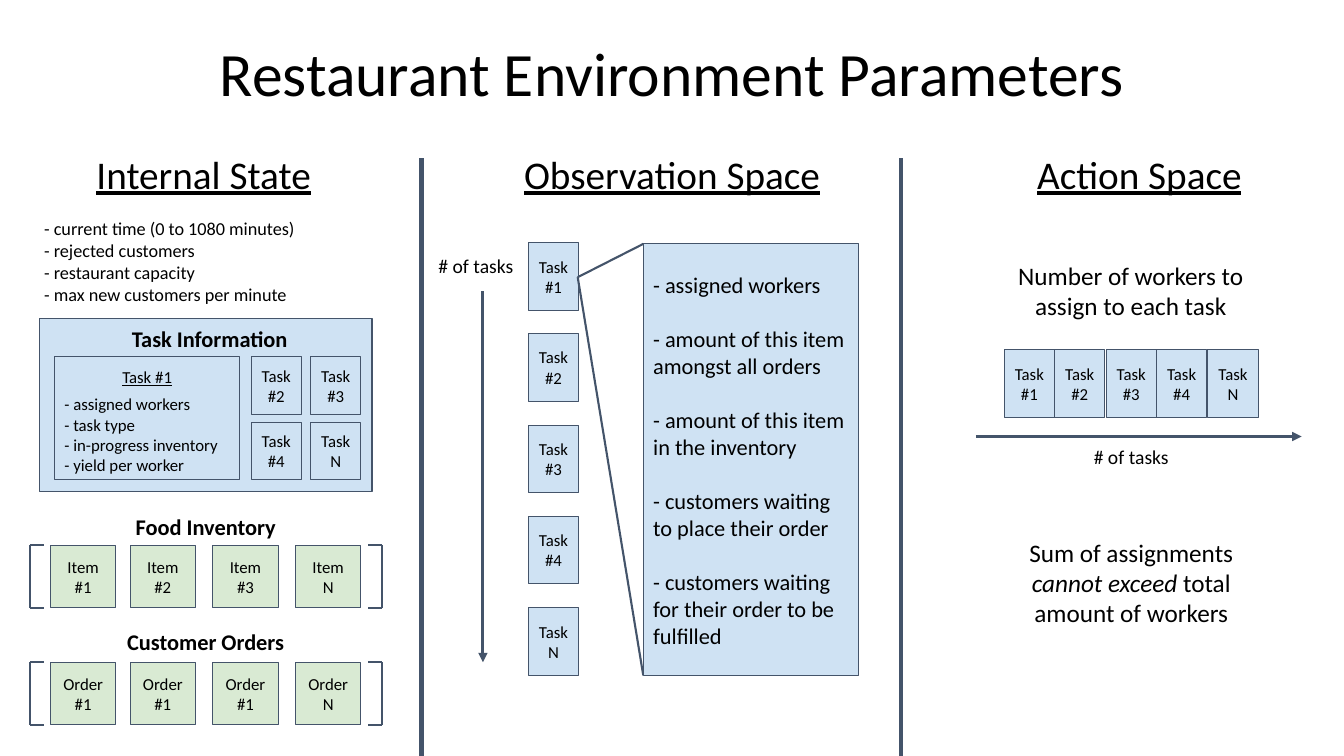
import pptx
import pptx.util
import pptx.dml.color
import pptx.enum.shapes
import pptx.enum.text
import pptx.oxml.ns
import lxml.etree

PX = 9144
NAVY, BLUE, GREEN, BLACK = "44546A", "CFE2F3", "D9EAD3", "000000"
CENTER = pptx.enum.text.PP_ALIGN.CENTER
LEFT = pptx.enum.text.PP_ALIGN.LEFT
TOP = pptx.enum.text.MSO_ANCHOR.TOP
MIDDLE = pptx.enum.text.MSO_ANCHOR.MIDDLE
TASKS = ["#1", "#2", "#3", "#4", "N"]


def emu(*lengths):
    return [pptx.util.Emu(n * PX) for n in lengths]


def rgb(hex_color):
    return pptx.dml.color.RGBColor.from_string(hex_color)


def style_runs(tf, size, align, **font):
    for p in tf.paragraphs:
        p.alignment = align
        for r in p.runs:
            r.font.name = "Calibri"
            r.font.size = pptx.util.Pt(size)
            r.font.color.rgb = rgb(BLACK)
            for key, value in font.items():
                setattr(r.font, key, value)


def set_frame(tf, anchor, side=10):
    tf.word_wrap = True
    tf.auto_size = pptx.enum.text.MSO_AUTO_SIZE.NONE
    tf.vertical_anchor = anchor
    tf.margin_left, tf.margin_right, tf.margin_top, tf.margin_bottom = emu(side, side, 10, 10)


def add_title(s, text, *place):
    sp = s.shapes.title
    sp.left, sp.top, sp.width, sp.height = emu(*place)
    tf = sp.text_frame
    set_frame(tf, TOP)
    tf.text = text
    tf.paragraphs[0].line_spacing = 0.9
    style_runs(tf, 44, CENTER)


def add_label(s, text, x, y, w, h, size, align=CENTER, **font):
    tf = s.shapes.add_textbox(*emu(x, y, w, h)).text_frame
    set_frame(tf, TOP)
    tf.text = text
    style_runs(tf, size, align, **font)
    return tf


def add_box(s, text, x, y, w, h, fill=BLUE, size=12, align=CENTER, anchor=MIDDLE):
    sp = s.shapes.add_shape(pptx.enum.shapes.MSO_SHAPE.RECTANGLE, *emu(x, y, w, h))
    sp.shadow.inherit = False
    sp.fill.solid()
    sp.fill.fore_color.rgb = rgb(fill)
    sp.line.color.rgb = rgb(NAVY)
    sp.line.width = pptx.util.Pt(0.75)
    tf = sp.text_frame
    set_frame(tf, anchor, 8 if align == CENTER else 10)
    tf.text = text
    style_runs(tf, size, align)
    return tf


def add_task(s, number, x, y, h=67):
    add_box(s, f"Task\n{number}", x, y, 50, h)


def add_line(s, x1, y1, x2, y2, width, arrow=False):
    cx = s.shapes.add_connector(pptx.enum.shapes.MSO_CONNECTOR.STRAIGHT, *emu(x1, y1, x2, y2))
    cx.line.color.rgb = rgb(NAVY)
    cx.line.width = pptx.util.Pt(width)
    if arrow:
        ln = cx.line._get_or_add_ln()
        lxml.etree.SubElement(ln, pptx.oxml.ns.qn("a:tailEnd"), type="triangle")
    lxml.etree.SubElement(cx._element.spPr, pptx.oxml.ns.qn("a:effectLst"))


def add_bracket(s, x, tip, top, bottom):
    add_line(s, x, top, tip, top, 1.5)
    add_line(s, x, top, x, bottom, 1.5)
    add_line(s, x, bottom, tip, bottom, 1.5)


def add_vector(s, heading, heading_y, y, entries):
    add_bracket(s, 30, 44, y, y + 62)
    add_bracket(s, 379, 365, y, y + 62)
    for x, entry in zip([50, 129, 211, 293], entries):
        add_box(s, entry, x, y, 65, 62, GREEN)
    add_label(s, heading, 100, heading_y, 208, 47, 16, bold=True)


def add_internal_state(s):
    add_label(s, "Internal State", 65, 139, 274, 67, 28, underline=True)
    facts = ["- current time (0 to 1080 minutes)", "- rejected customers",
             "- restaurant capacity", "- max new customers per minute"]
    add_label(s, "\n".join(facts), 34, 206, 367, 108, 13, LEFT)

    add_box(s, "", 39, 316, 330, 172)
    details = ["Task #1", "- assigned workers", "- task type",
               "- in-progress inventory", "- yield per worker"]
    tf = add_box(s, "\n".join(details), 54, 354, 184, 122, align=LEFT, anchor=TOP)
    tf.paragraphs[0].alignment = CENTER
    tf.paragraphs[0].runs[0].font.underline = True
    tf.paragraphs[1].space_before = pptx.util.Pt(5)
    for i, number in enumerate(TASKS[1:]):
        add_task(s, number, 249 + i % 2 * 59, 354 + i // 2 * 65, 57)
    add_label(s, "Task Information", 104, 313, 208, 47, 16, bold=True)

    add_vector(s, "Food Inventory", 499, 541, ["Item\n#1", "Item\n#2", "Item\n#3", "Item\nN"])
    add_vector(s, "Customer Orders", 613, 657, ["Order #1"] * 3 + ["Order N"])


def add_observation_space(s):
    add_label(s, "Observation Space", 496, 139, 341, 67, 28, underline=True)
    for i, number in enumerate(TASKS):
        add_task(s, number, 524, 241 + i * 181 // 2)
    add_line(s, 479, 289, 479, 657, 2.25, arrow=True)
    add_label(s, "# of tasks", 421, 242, 102, 44, 14)
    add_line(s, 573, 275, 638, 670, 1.5)
    features = ["- assigned workers", "- amount of this item amongst all orders",
                "- amount of this item in the inventory",
                "- customers waiting to place their order",
                "- customers waiting for their order to be fulfilled"]
    tf = add_box(s, "\n".join(features), 638, 242, 214, 428, size=16, align=LEFT)
    for p in tf.paragraphs[1:]:
        p.space_before = pptx.util.Pt(19.5)
    add_line(s, 573, 275, 638, 242, 1.5)


def add_action_space(s):
    add_label(s, "Action Space", 1009, 139, 242, 67, 28, underline=True)
    add_label(s, "Number of workers to assign to each task", 990, 248, 263, 81, 18)
    for i, number in enumerate(TASKS):
        add_task(s, number, 996 + i * 101 // 2, 347)
    add_line(s, 968, 433, 1291, 433, 2.25, arrow=True)
    add_label(s, "# of tasks", 1071, 431, 102, 44, 14)
    tf = add_label(s, "Sum of assignments ", 1001, 523, 242, 111, 18)
    for text in ["cannot exceed", " total amount of workers"]:
        tf.paragraphs[0].add_run().text = text
    style_runs(tf, 18, CENTER)
    tf.paragraphs[0].runs[1].font.italic = True


def main():
    prs = pptx.Presentation()
    prs.slide_width, prs.slide_height = emu(1333, 750)
    s = prs.slides.add_slide(prs.slide_layouts[5])
    add_title(s, "Restaurant Environment Parameters", 206, 33, 921, 87)
    for x in (418, 894):
        add_line(s, x, 157, x, 750, 3)
    add_internal_state(s)
    add_observation_space(s)
    add_action_space(s)
    prs.save("out.pptx")


if __name__ == "__main__":
    main()
